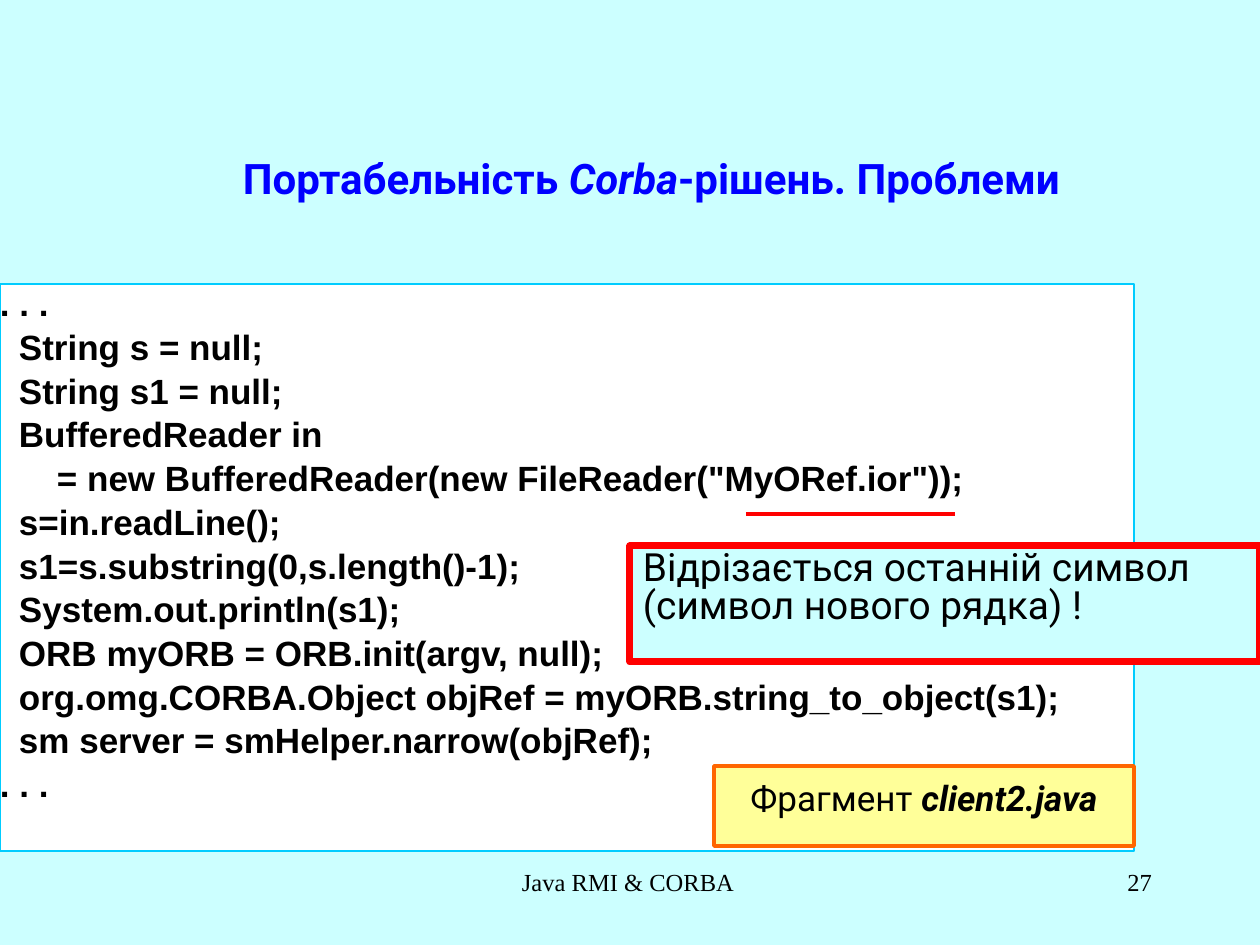
"""Build the slide on portability problems of Corba solutions."""
from pptx import Presentation
from pptx.dml.color import RGBColor
from pptx.enum.shapes import MSO_CONNECTOR, MSO_SHAPE
from pptx.enum.text import MSO_ANCHOR, MSO_AUTO_SIZE, PP_ALIGN
from pptx.util import Emu, Pt
from lxml import etree

LEFT, MID, RIGHT = PP_ALIGN.LEFT, PP_ALIGN.CENTER, PP_ALIGN.RIGHT
TOP, CENTER = MSO_ANCHOR.TOP, MSO_ANCHOR.MIDDLE
RECT, LINE, FIXED = MSO_SHAPE.RECTANGLE, MSO_CONNECTOR.STRAIGHT, MSO_AUTO_SIZE.NONE
BLACK = RGBColor(0x00, 0x00, 0x00)
WHITE = RGBColor(0xFF, 0xFF, 0xFF)
PALE = RGBColor(0xCC, 0xFF, 0xFF)
BLUE = RGBColor(0x00, 0x00, 0xFF)
CYAN = RGBColor(0x00, 0xCC, 0xFF)
CREAM = RGBColor(0xFF, 0xFF, 0x99)
ORANGE = RGBColor(0xFF, 0x66, 0x00)
RED = RGBColor(0xFF, 0x00, 0x00)
DRAWING = "http://schemas.openxmlformats.org/drawingml/2006/main"
SCALE = 914400 / 126


def px(n):
    return Emu(round(n * SCALE))


def write(shape, lines, font="Roboto", size=20, color=BLACK, bold=False,
          align=LEFT, anchor=TOP, inset=13, space=None, before=None):
    frame = shape.text_frame
    frame.word_wrap = True
    frame.auto_size = FIXED
    frame.vertical_anchor = anchor
    frame.margin_left = frame.margin_right = px(inset)
    frame.margin_top = frame.margin_bottom = px(6)
    for i, (indent, runs) in enumerate(lines):
        para = frame.paragraphs[0] if i == 0 else frame.add_paragraph()
        para.alignment = align
        para.line_spacing = space
        if before is not None:
            para.space_before = Pt(before)
        if indent:
            para._p.get_or_add_pPr().set("marL", str(px(indent)))
        for text, heavy, slant in runs:
            run = para.add_run()
            run.text = text
            run.font.name = font
            run.font.size = Pt(size)
            run.font.color.rgb = color
            run.font.bold = bold or heavy
            run.font.italic = slant


deck = Presentation()
deck.slide_width, deck.slide_height = px(1260), px(945)
slide = deck.slides.add_slide(deck.slide_layouts[5])
slide.background.fill.solid()
slide.background.fill.fore_color.rgb = PALE
shapes = slide.shapes

title = shapes.title
title.left, title.top, title.width, title.height = px(116), px(136), px(1071), px(84)
heading = [("Портабельність ", True, False), ("Corba", True, True),
           ("-рішень. Проблеми", True, False)]
write(title, [(0, heading)], size=24, color=BLUE, bold=True, align=MID, anchor=CENTER)

code = [
    (0, ". . ."),
    (1, "String s = null;"),
    (1, "String s1 = null;"),
    (1, "BufferedReader in"),
    (3, '= new BufferedReader(new FileReader("MyORef.ior"));'),
    (1, "s=in.readLine();"),
    (1, "s1=s.substring(0,s.length()-1);"),
    (1, "System.out.println(s1);"),
    (1, "ORB myORB = ORB.init(argv, null);"),
    (1, "org.omg.CORBA.Object objRef = myORB.string_to_object(s1);"),
    (1, "sm server = smHelper.narrow(objRef);"),
    (0, ". . ."),
]
listing = [(19 * level, [(text, True, False)]) for level, text in code]
label = [(0, [("Фрагмент ", False, False), ("client2.java", True, True)])]
note = [(0, [("Відрізається останній символ (символ нового рядка) !", False, False)])]

boxes = [
    ((0, 284, 1134, 567), WHITE, CYAN, 1, listing,
     dict(font="Arial", bold=True, inset=0, space=0.8, before=5.75)),
    ((714, 766, 420, 80), CREAM, ORANGE, 2, label,
     dict(align=MID, inset=0, space=1.1, before=5)),
    ((630, 546, 630, 116), PALE, RED, 4, note,
     dict(size=22.2, space=0.8, before=6)),
]
for place, fill, edge, width, lines, form in boxes:
    box = shapes.add_shape(RECT, *map(px, place))
    box.shadow.inherit = False
    box.fill.solid()
    box.fill.fore_color.rgb = fill
    box.line.color.rgb = edge
    box.line.width = Pt(width)
    write(box, lines, **form)

mark = shapes.add_connector(LINE, px(746), px(514), px(955), px(514))
mark.line.color.rgb = RED
mark.line.width = Pt(2.25)
etree.SubElement(mark._element.spPr, f"{{{DRAWING}}}effectLst")

for left, width, text, align in [(431, 399, "Java RMI & CORBA ", MID),
                                 (903, 262, "27", RIGHT)]:
    foot = shapes.add_textbox(px(left), px(861), px(width), px(63))
    write(foot, [(0, [(text, False, False)])], font="Times New Roman", size=14, align=align)

deck.save("out.pptx")
